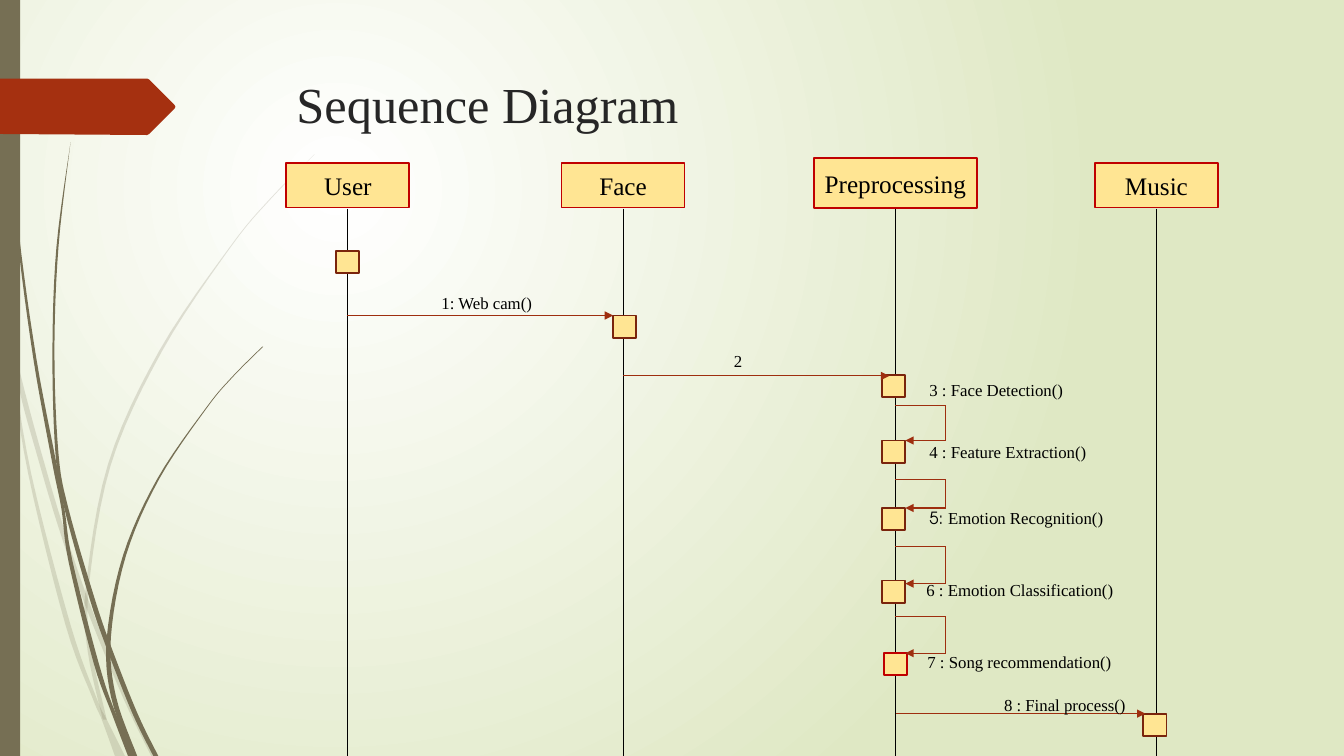
from lxml import etree
from pptx import Presentation
from pptx.dml.color import RGBColor
from pptx.enum.shapes import MSO_CONNECTOR, MSO_SHAPE
from pptx.enum.text import MSO_ANCHOR, MSO_AUTO_SIZE, PP_ALIGN
from pptx.oxml.ns import qn
from pptx.util import Inches, Pt

OLIVE, RUST, CREAM, RED, BROWN = "766F54", "A53010", "FFE593", "C00000", "7A240C"
ARROW, BLACK = "9E2E0F", "000000"
SERIF, SANS = "Times New Roman", "TeX Gyre Adventor"

# Each blade of grass: rows of (y, left edge, right edge)
PALE_BLADES = [
    [(2.82, 0, 0), (3.5, .09, .11), (4.7, .28, .31), (6.2, .65, .7),
     (6.93, .92, .96), (7.14, 1.01, 1.06), (7.5, 1.14, 1.24)],
    [(3.45, .14, .14), (3.9, .2, .25), (4.49, .36, .41), (5.2, .57, .62),
     (5.99, .84, .89), (6.92, 1.22, 1.27), (7.5, 1.5, 1.55)],
    [(1.53, 3.12, 3.12), (1.97, 2.68, 2.69), (2.45, 2.28, 2.29), (3.48, 1.58, 1.61),
     (4.61, 1.07, 1.1), (5.84, .85, .88), (6.46, .87, .91), (7.14, 1.02, 1.06)],
]
DARK_BLADES = [
    [(0, .03, .04), (1.1, .07, .08), (2.33, .17, .19), (3.55, .33, .36),
     (4.6, .52, .56), (5.05, .61, .64), (5.57, .68, .72), (6.58, .93, .98),
     (7.08, 1.11, 1.15), (7.5, 1.27, 1.36)],
    [(1.41, .7, .7), (2.45, .56, .58), (3.49, .52, .54), (4.5, .55, .58),
     (5.05, .64, .68), (5.91, .88, .93), (6.41, 1.05, 1.1), (7.07, 1.31, 1.36),
     (7.5, 1.52, 1.57)],
    [(3.44, 2.6, 2.61), (3.74, 2.3, 2.31), (4.05, 2.04, 2.05), (4.75, 1.56, 1.58),
     (5.51, 1.22, 1.25), (6.32, 1.06, 1.1), (6.91, 1.1, 1.15), (7.5, 1.31, 1.36)],
]
TAG = [(0, .78), (1.46, .78), (1.48, .79), (1.73, 1.04), (1.74, 1.06),
       (1.73, 1.08), (1.48, 1.33), (1.46, 1.34), (0, 1.33)]

# Lifelines: name, centre, head top, head width, head height
LIFELINES = [("User", 3.45, 1.62, 1.22, .44), ("Face", 6.18, 1.62, 1.22, .44),
             ("Preprocessing", 8.88, 1.57, 1.62, .49), ("Music", 11.47, 1.62, 1.22, .44)]
ACTIVATIONS = [(3.33, 2.49, BROWN), (6.08, 3.13, BROWN), (8.75, 3.72, BROWN),
               (8.75, 4.37, BROWN), (8.75, 5.04, BROWN), (8.75, 5.76, BROWN),
               (8.77, 6.48, RED), (11.34, 7.08, BROWN)]
MESSAGES = [(3.44, 6.08, 3.13), (6.18, 8.82, 3.73), (8.89, 11.36, 7.08)]
SELF_CALLS = [(4.02, 4.37), (4.76, 5.04), (5.42, 5.79), (6.12, 6.48)]
LABELS = [(4.28, 2.86, "1: Web cam()"), (7.18, 3.43, "2"),
          (9.12, 3.72, "3 : Face Detection()"), (9.12, 4.33, "4 : Feature Extraction()"),
          (9.09, 5.7, "6 : Emotion Classification()"),
          (9.1, 6.42, "7 : Song recommendation()"), (9.86, 6.84, "8 : Final process()")]


def rgb(value):
    return RGBColor.from_string(value)


def smooth(rows, steps=6):
    """Catmull-Rom curve through the rows."""
    pts = [rows[0], *rows, rows[-1]]
    curve = []
    for a, b, c, d in zip(pts, pts[1:], pts[2:], pts[3:]):
        for i in range(steps):
            t = i / steps
            curve.append([q + t / 2 * (r - p + t * (2 * p - 5 * q + 4 * r - e
                          + t * (3 * (q - r) + e - p)))
                          for p, q, r, e in zip(a, b, c, d)])
    return curve + [rows[-1]]


class Diagram:
    def __init__(self, prs):
        self.s = prs.slides.add_slide(prs.slide_layouts[5])
        self.shapes = self.s.shapes

    def background(self, inner, outer):
        fill = self.s.background.fill
        fill.gradient()
        for stop, color, pos in zip(fill.gradient_stops, (inner, outer), (0, 1)):
            stop.color.rgb = rgb(color)
            stop.position = pos
        grad = self.s._element.find(".//" + qn("a:gradFill"))
        grad.remove(grad.find(qn("a:lin")))
        radial = etree.SubElement(grad, qn("a:path"), {"path": "circle"})
        etree.SubElement(radial, qn("a:fillToRect"),
                         dict(l="50000", t="50000", r="100000", b="100000"))

    def paint(self, sp, fill, line=None, alpha=None):
        sp.shadow.inherit = False
        sp.fill.solid()
        sp.fill.fore_color.rgb = rgb(fill)
        if alpha:
            clr = sp._element.spPr.find(".//" + qn("a:srgbClr"))
            etree.SubElement(clr, qn("a:alpha"), {"val": str(alpha * 1000)})
        if line:
            sp.line.color.rgb = rgb(line)
            sp.line.width = Pt(1.25)
        else:
            sp.line.fill.background()

    def run(self, p, text, size, color=BLACK, font=SERIF):
        r = p.add_run()
        r.text = text
        r.font.size, r.font.name = Pt(size), font
        r.font.color.rgb = rgb(color)

    def outline(self, points, fill, alpha=None):
        start, *rest = [(Inches(x), Inches(y)) for x, y in points]
        fb = self.shapes.build_freeform(*start)
        fb.add_line_segments(rest)
        self.paint(fb.convert_to_shape(), fill, alpha=alpha)

    def blade(self, rows, alpha=None):
        curve = smooth(rows)
        left = [(x, y) for y, x, _ in curve]
        right = [(x, y) for y, _, x in reversed(curve)]
        self.outline(left + right, OLIVE, alpha)

    def box(self, x, y, w, h, fill, line=None, text=None):
        sp = self.shapes.add_shape(MSO_SHAPE.RECTANGLE, *map(Inches, (x, y, w, h)))
        self.paint(sp, fill, line)
        if text:
            tf = sp.text_frame
            tf.vertical_anchor = MSO_ANCHOR.MIDDLE
            tf.word_wrap = True
            p = tf.paragraphs[0]
            p.alignment = PP_ALIGN.CENTER
            self.run(p, text, 18)

    def line(self, x1, y1, x2, y2, color=ARROW, arrow=False):
        cn = self.shapes.add_connector(MSO_CONNECTOR.STRAIGHT,
                                       *map(Inches, (x1, y1, x2, y2)))
        cn.line.color.rgb = rgb(color)
        cn.line.width = Pt(.75)
        if arrow:
            etree.SubElement(cn.line._get_or_add_ln(), qn("a:tailEnd"), {"type": "triangle"})
        etree.SubElement(cn._element.spPr, qn("a:effectLst"))

    def label(self, x, y, *runs):
        tf = self.shapes.add_textbox(*map(Inches, (x, y, 2.26, .3))).text_frame
        tf.word_wrap = True
        for text, font in runs:
            self.run(tf.paragraphs[0], text, 12, font=font)

    def title(self, text):
        sp = self.shapes.title
        sp.left, sp.top, sp.width, sp.height = map(Inches, (2.84, .68, 9.75, 1.4))
        tf = sp.text_frame
        tf.auto_size = MSO_AUTO_SIZE.NONE
        tf.vertical_anchor = MSO_ANCHOR.TOP
        p = tf.paragraphs[0]
        p.alignment = PP_ALIGN.LEFT
        self.run(p, text, 36, "262626")


def main():
    prs = Presentation()
    prs.slide_width, prs.slide_height = Inches(13.33), Inches(7.5)
    d = Diagram(prs)
    d.background("FFFFFF", "DFE8C4")
    for rows in PALE_BLADES:
        d.blade(rows, alpha=20)
    for rows in DARK_BLADES:
        d.blade(rows)
    d.box(0, 0, .2, 7.5, OLIVE)
    d.outline(TAG, RUST)
    d.title("Sequence Diagram")

    for name, x, top, w, h in LIFELINES:
        d.box(x - w / 2, top, w, h, CREAM, RED, name)
        d.line(x, 2.07, x, 7.5, BLACK)
    for x, y, color in ACTIVATIONS:
        d.box(x, y, .23, .22, CREAM, color)
    for x1, x2, y in MESSAGES:
        d.line(x1, y, x2, y, arrow=True)
    for y1, y2 in SELF_CALLS:
        d.line(8.88, y1, 9.38, y1)
        d.line(9.38, y1, 9.38, y2)
        d.line(9.38, y2, 8.98, y2, arrow=True)
    for x, y, text in LABELS:
        d.label(x, y, (text, SERIF))
    d.label(9.12, 4.99, ("5: ", SANS), ("Emotion Recognition()", SERIF))
    prs.save("out.pptx")


if __name__ == "__main__":
    main()
